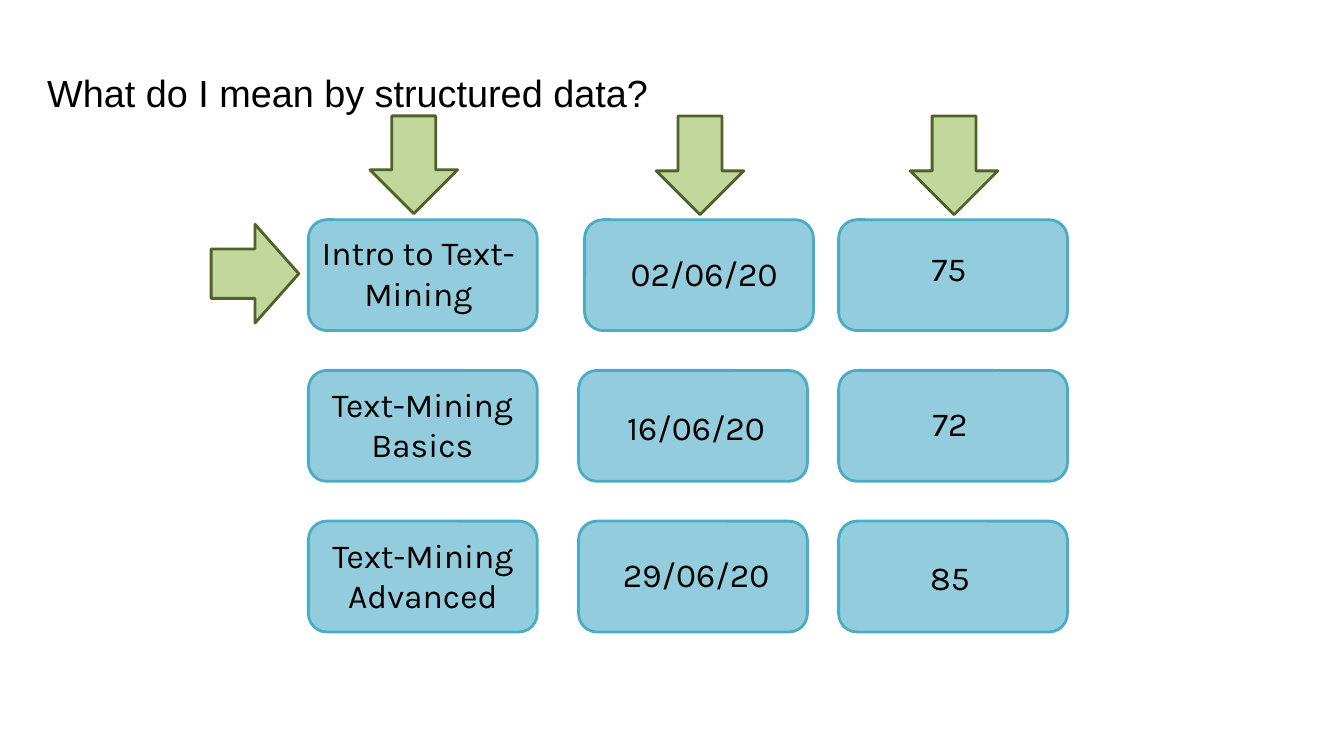
"""Build a slide that shows course records as structured data."""
from pptx import Presentation as Deck
from pptx.util import Inches, Pt
from pptx.dml.color import RGBColor as Color
from pptx.enum.shapes import MSO_SHAPE as Kind
from pptx.enum.text import MSO_ANCHOR as Anchor, PP_ALIGN as Align

HUES = {"card": "93CDDD", "edge": "4BACC6", "arrow": "C3D69B",
        "rim": "4F6228", "ink": "000000"}
UNIT = Inches(0.1)
CARD_W, CARD_H = 22.7, 11
TOP, STEP = 21.8, 14.95
LEFTS = (30.6, 57.4, 83.2)
NUDGE = {(0, 1): 0.6}
ROWS = (
    (("Intro to Text-Mining", 41.5, 27.05), ("02/06/20", 69.85, 27.1), ("75", 94.15, 26.6)),
    (("Text-Mining\nBasics", 41.9, 42.05), ("16/06/20", 69.05, 42.4), ("72", 94.25, 42)),
    (("Text-Mining Advanced", 41.95, 57.05), ("29/06/20", 69.05, 57), ("85", 94.25, 57.3)),
)
ARROWS = ((36.7, 11.5, 8.7, 9.7, 0), (65.1, 11.5, 8.7, 9.8, 0),
          (90.3, 11.5, 8.7, 9.8, 0), (20.4, 22.8, 9.8, 8.7, 270))


def grid(*nums):
    return [round(num * UNIT) for num in nums]


def add_block(slide, kind, box, fill, line):
    block = slide.shapes.add_shape(kind, *grid(*box))
    block.shadow.inherit = False
    block.fill.solid()
    block.fill.fore_color.rgb = Color.from_string(HUES[fill])
    block.line.color.rgb = Color.from_string(HUES[line])
    block.line.width = Pt(2)
    return block


def add_text(slide, text, box, font, size, align):
    frame = slide.shapes.add_textbox(*grid(*box)).text_frame
    frame.word_wrap = True
    frame.vertical_anchor = Anchor.MIDDLE
    frame.text = text
    for para in frame.paragraphs:
        para.alignment = align
        for run in para.runs:
            run.font.name = font
            run.font.size = Pt(size)
            run.font.color.rgb = Color.from_string(HUES["ink"])


def add_label(slide, text, mid_x, mid_y):
    high = 5 if len(text) < 10 else 9.1
    box = (mid_x - CARD_W / 2, mid_y - high / 2, CARD_W, high)
    add_text(slide, text, box, "Karla", 24, Align.CENTER)


def main():
    deck = Deck()
    deck.slide_width, deck.slide_height = grid(133.33, 75)
    slide = deck.slides.add_slide(deck.slide_layouts[6])
    add_text(slide, "What do I mean by structured data?",
             (3.7, 2.9, 120, 12.5), "Arial", 27, Align.LEFT)
    for row, cells in enumerate(ROWS):
        for col, (text, mid_x, mid_y) in enumerate(cells):
            left = LEFTS[col] + NUDGE.get((row, col), 0)
            box = (left, TOP + row * STEP, CARD_W, CARD_H)
            add_block(slide, Kind.ROUNDED_RECTANGLE, box, "card", "edge")
            add_label(slide, text, mid_x, mid_y)
    for *box, turn in ARROWS:
        add_block(slide, Kind.DOWN_ARROW, box, "arrow", "rim").rotation = turn
    deck.save("out.pptx")


if __name__ == "__main__":
    main()
